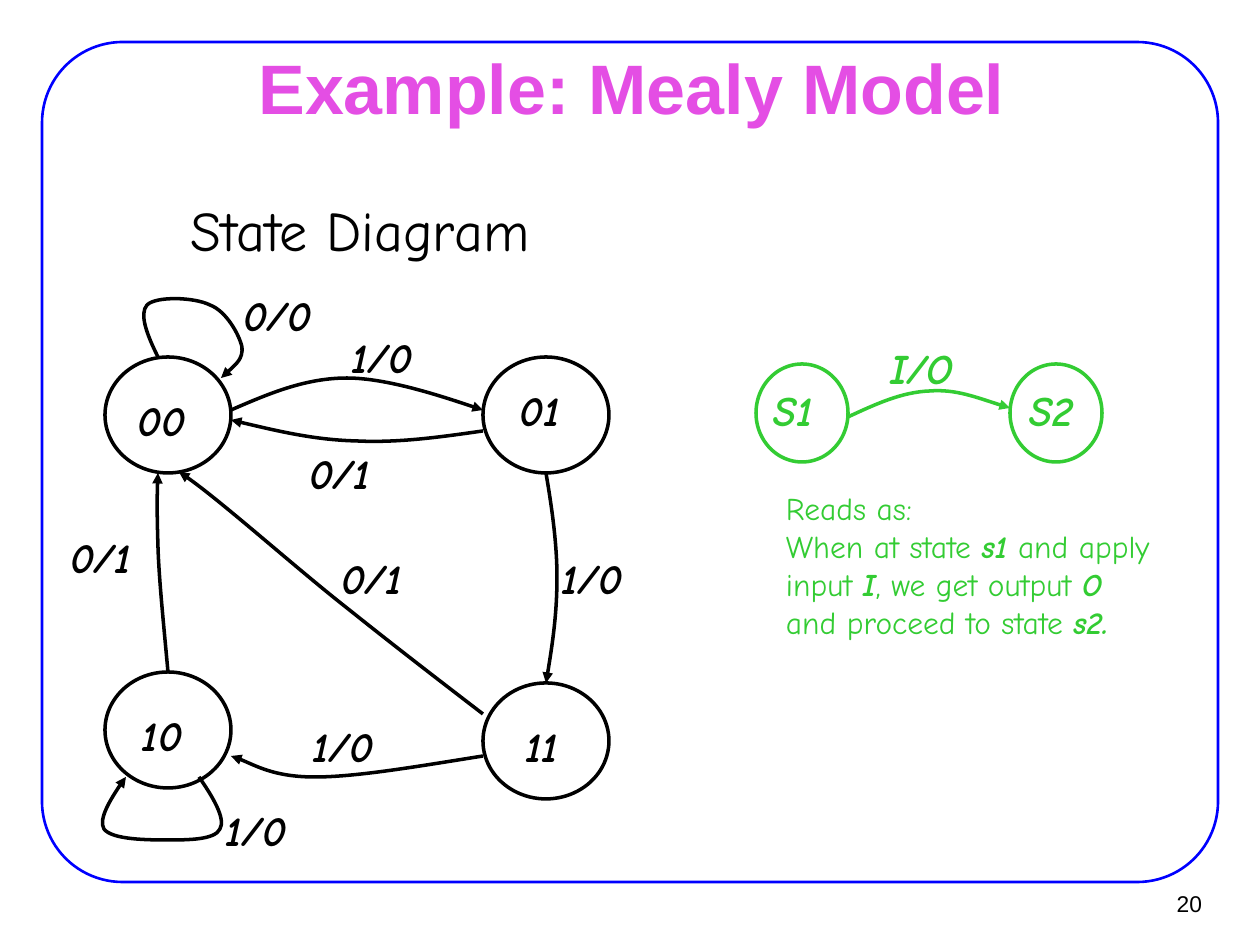
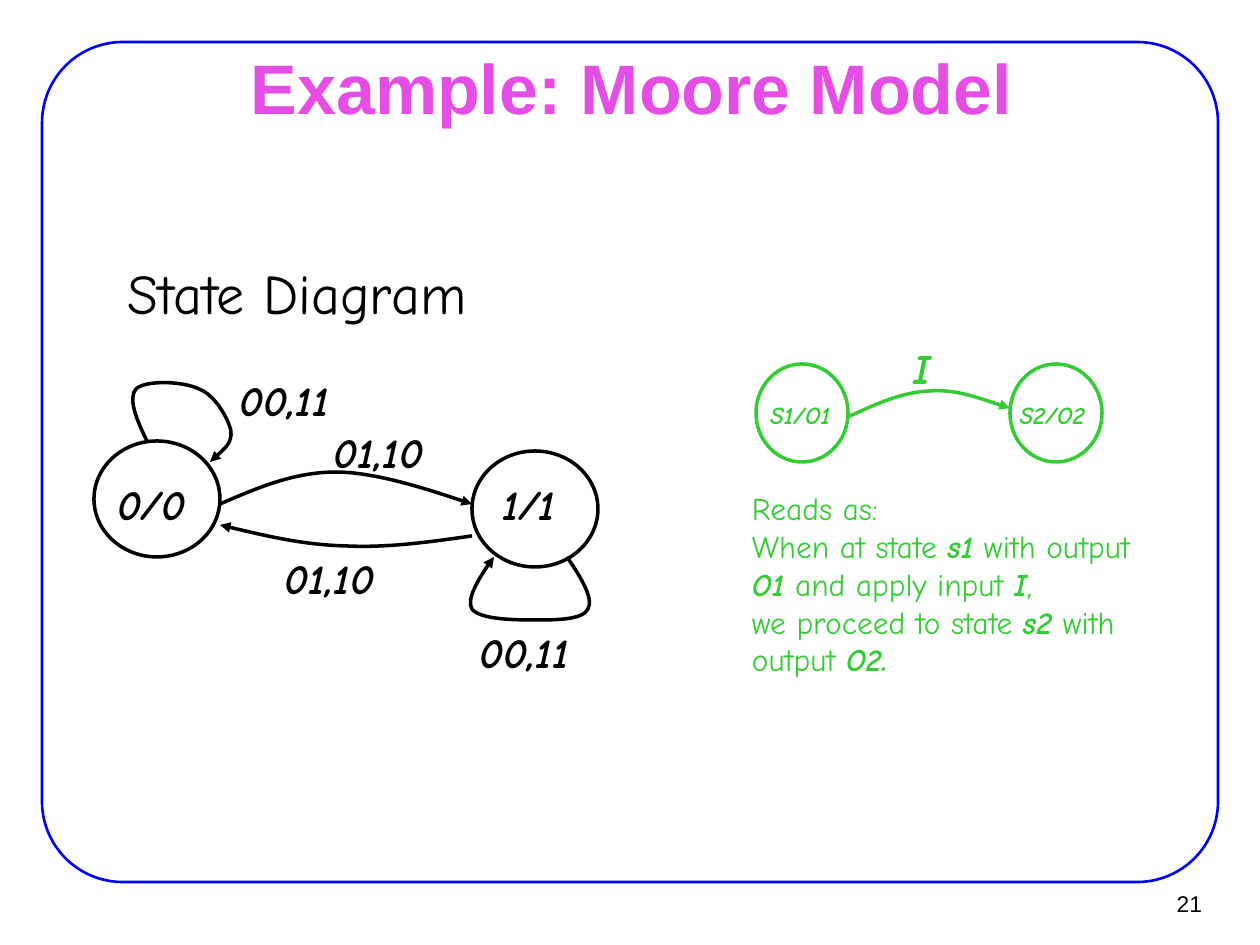
from pptx import Presentation, util as u
from pptx.dml.color import RGBColor
from pptx.enum import shapes as es, text as et
from pptx.oxml import ns
from lxml import etree

PX = u.Inches(1) / 126
BLACK = RGBColor(0x00, 0x00, 0x00)
BLUE = RGBColor(0x00, 0x00, 0xFF)
PINK = RGBColor(0xE4, 0x4E, 0xE4)
GREEN = RGBColor(0x33, 0xCC, 0x33)
HAND = "Comic Neue"

TOP = [(0, 0), (-11, -22), (-19, -43), (-11, -52), (-2, -61), (36, -60), (52, -52),
       (68, -46), (81, -23), (84, -10), (85, 2), (74, 11), (63, 21)]
LOW = [(0, 0), (14, 20), (27, 42), (21, 52), (16, 63), (-11, 63), (-31, 63),
       (-50, 63), (-87, 63), (-95, 52), (-101, 42), (-81, 10), (-73, 0)]
OUT = [(0, 0), (37, -16), (74, -32), (116, -32), (157, -32), (228, -8), (252, 0)]
BACK = [(0, 0), (-42, 6), (-84, 12), (-126, 10), (-168, 9), (-210, -1), (-252, -11)]
DOWN = [(0, 0), (6, 35), (11, 71), (11, 104), (11, 140), (6, 175), (0, 210)]
SLANT = [(0, 0), (-43, -33), (-86, -66), (-136, -106), (-187, -146), (-273, -223), (-304, -242)]
BASE = [(0, 0), (-63, 10), (-126, 21), (-168, 21), (-209, 21), (-238, 4), (-252, 0)]
RISE = [(0, 0), (-4, -45), (-9, -92), (-10, -126), (-11, -159), (-11, -179), (-10, -199)]
KEY = [(0, 0), (28, -13), (54, -25), (82, -26), (108, -28), (135, -17), (162, -9)]

PAGES = [
    dict(
        title="Example: Mealy Model", page="20", head=(179, 189),
        nodes=[(105, 357), (483, 357), (483, 683), (105, 672)],
        arrows=[(158, 357, TOP), (231, 410, OUT), (483, 431, BACK), (546, 473, DOWN),
                (483, 714, SLANT), (483, 756, BASE), (168, 672, RISE), (199, 777, LOW)],
        labels=[(125, 388, 73, "00"), (231, 283, 93, "0/0"), (507, 378, 66, "01"),
                (339, 325, 86, "1/0"), (297, 441, 86, "0/1"), (513, 714, 58, "11"),
                (549, 546, 86, "1/0"), (329, 546, 86, "0/1"), (129, 703, 66, "10"),
                (300, 714, 86, "1/0"), (58, 525, 86, "0/1"), (213, 798, 86, "1/0")],
        keys=[(878, 336, 88, "I/O", 24), (761, 378, 64, "S1", 24), (1017, 378, 69, "S2", 24)],
        note=(774, 483, 401, 164),
        lines=["Reads as:", "When at state *s1* and apply", "input *I*, we get output *O*",
               "and proceed to state *s2.*"]),
    dict(
        title="Example: Moore Model", page="21", head=(116, 252),
        nodes=[(94, 441), (472, 451)],
        arrows=[(147, 441, TOP), (220, 504, OUT), (472, 536, BACK), (567, 557, LOW)],
        labels=[(105, 472, 93, "0/0"), (227, 368, 115, "00,11"), (490, 472, 78, "1/1"),
                (321, 420, 115, "01,10"), (272, 546, 115, "01,10"), (467, 620, 115, "00,11")],
        keys=[(901, 336, 42, "I", 24), (758, 394, 85, "S1/O1", 14), (1007, 394, 91, "S2/O2", 14)],
        note=(740, 483, 406, 239),
        lines=["Reads as:", "When at state *s1* with output", "*O1* and apply input *I*,",
               "we proceed to state *s2* with", "output *O2.*"]),
]


def write(slide, box, lines, size, color, font=HAND, align="LEFT", wrap=False,
          anchor="TOP", bold=False, slope=False, inset=12):
    frame = slide.shapes.add_textbox(*[round(v * PX) for v in box]).text_frame
    frame.word_wrap = wrap
    frame.vertical_anchor = getattr(et.MSO_ANCHOR, anchor)
    frame.margin_left = frame.margin_right = round(inset * PX)
    for n, line in enumerate(lines):
        para = frame.add_paragraph() if n else frame.paragraphs[0]
        para.alignment = getattr(et.PP_ALIGN, align)
        for k, part in enumerate(line.split("*")):
            if part:
                run = para.add_run()
                run.text = part
                run.font.name = font
                run.font.size = u.Pt(size)
                run.font.color.rgb = color
                run.font.bold = bold or k % 2 == 1
                run.font.italic = slope or k % 2 == 1


def stroke(shape, color, width=2):
    shape.shadow.inherit = False
    shape.fill.background()
    shape.line.color.rgb = color
    shape.line.width = u.Pt(width)


deck = Presentation()
deck.slide_width = u.Inches(10)
deck.slide_height = u.Inches(7.5)

for page in PAGES:
    slide = deck.slides.add_slide(deck.slide_layouts[6])
    border = slide.shapes.add_shape(es.MSO_SHAPE.ROUNDED_RECTANGLE,
                                    *[round(v * PX) for v in (42, 42, 1176, 840)])
    border.adjustments[0] = 0.096
    stroke(border, BLUE, 1.5)
    write(slide, (1137, 880, 77, 47), [page["page"]], 13, BLACK, "Arial", "RIGHT", anchor="MIDDLE")
    write(slide, (96, 56, 1071, 62), [page["title"]], 40, PINK, "Arial", "CENTER", True, "MIDDLE", True)
    write(slide, (*page["head"], 504, 81), ["State Diagram"], 32, BLACK, wrap=True)

    rings = [(x, y, 126, 116, BLACK) for x, y in page["nodes"]]
    rings += [(x, 364, 92, 98, GREEN) for x in (756, 1010)]
    for *box, color in rings:
        ring = slide.shapes.add_shape(es.MSO_SHAPE.OVAL, *[round(v * PX) for v in box])
        stroke(ring, color)

    arcs = [(*arrow, BLACK) for arrow in page["arrows"]] + [(848, 417, KEY, GREEN)]
    for x, y, curve, color in arcs:
        dots = [(x + dx, y + dy) for dx, dy in curve]
        pen = slide.shapes.build_freeform(*dots[0], scale=PX)
        pen.add_line_segments(dots[1:], close=False)
        arc = pen.convert_to_shape()
        stroke(arc, color)
        legs = list(arc.element.iter(ns.qn("a:lnTo")))
        for n in range(0, len(legs), 3):
            bend = etree.Element(ns.qn("a:cubicBezTo"))
            legs[n].addprevious(bend)
            for leg in legs[n:n + 3]:
                bend.append(leg[0])
                leg.getparent().remove(leg)
        rim = arc.element.spPr.find(ns.qn("a:ln"))
        etree.SubElement(rim, ns.qn("a:tailEnd"), type="triangle")

    tags = [(*label, 24, BLACK) for label in page["labels"]]
    tags += [(*key, GREEN) for key in page["keys"]]
    for x, y, wide, word, size, color in tags:
        high = 63 if size == 24 else 43
        write(slide, (x, y, wide, high), [word], size, color, align="CENTER",
              bold=True, slope=True, inset=0)
    write(slide, page["note"], page["lines"], 18, GREEN)

deck.save("out.pptx")
